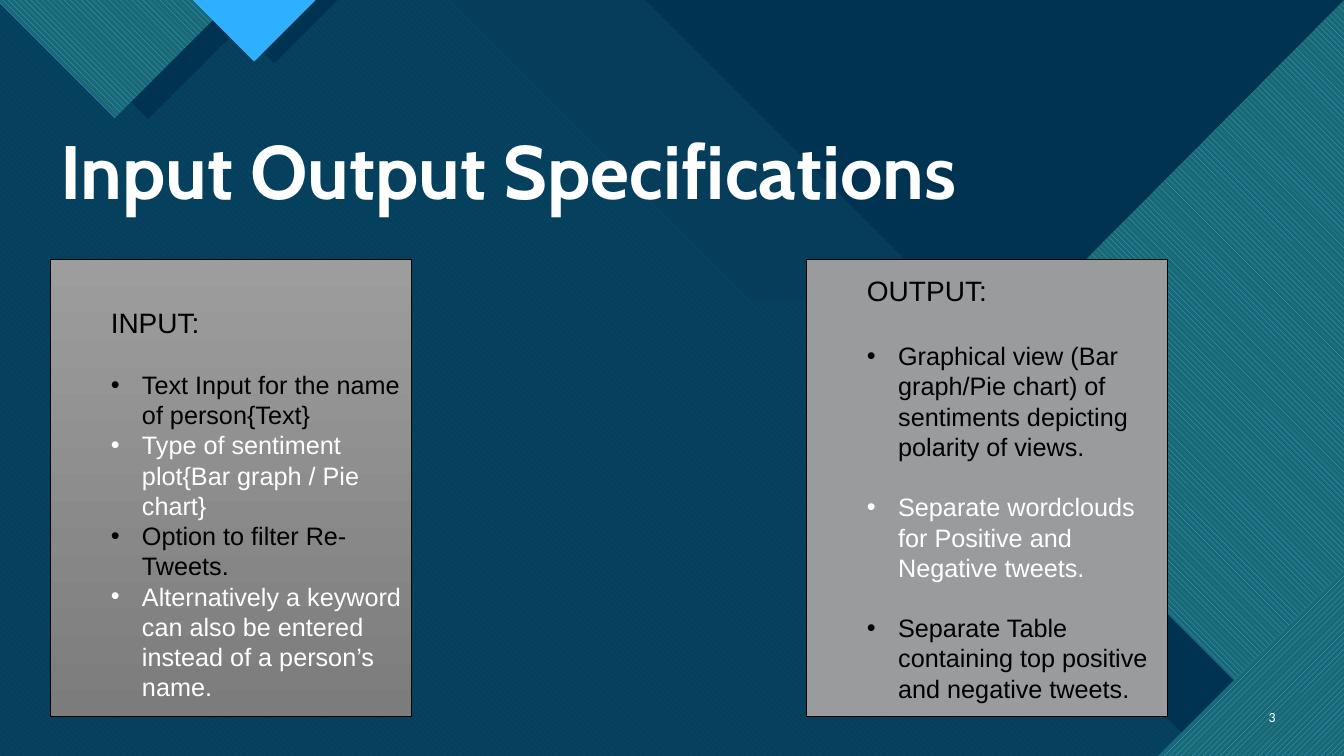
from math import cos, radians, sin

from lxml import etree
from pptx import Presentation
from pptx.dml.color import RGBColor
from pptx.enum.dml import MSO_PATTERN as Pattern
from pptx.enum.shapes import MSO_SHAPE as Shape
from pptx.enum.text import MSO_ANCHOR as Anchor, PP_ALIGN as Align
from pptx.oxml.ns import qn
from pptx.util import Emu, Inches, Pt

W, H = 13.33, 7.5
NAVY, DEEP, TEAL, SKY, PINE = "003352", "0C4360", "47C3D3", "2FAFFF", "1B6872"
BLACK, WHITE = "000000", "FFFFFF"
DOWN, UP = Pattern.WIDE_DOWNWARD_DIAGONAL, Pattern.WIDE_UPWARD_DIAGONAL
BARS = Pattern.DARK_HORIZONTAL

# Content
TITLE, PAGE = "Input Output Specifications", "3"
PANELS = [
    dict(left=0.5, heading="INPUT:", fill=("9D9D9D", "7C7C7C"),
         top_inset=0.46, heading_gap=21.6, item_gap=0, items=[
             "Text Input for the name of person{Text}",
             "Type of sentiment plot{Bar graph / Pie chart}",
             "Option to filter Re-Tweets.",
             "Alternatively a keyword can also be entered instead of a person’s name."]),
    dict(left=8, heading="OUTPUT:", fill=("9A9B9D",),
         top_inset=0.14, heading_gap=24, item_gap=21.6, items=[
             "Graphical view (Bar graph/Pie chart) of sentiments depicting polarity of views.",
             "Separate wordclouds for Positive and Negative tweets.",
             "Separate Table containing top positive and negative tweets."]),
]


# Backdrop outlines
def stepped(start, shelf, edge):
    """Full-slide sheet whose upper right corner is cut along a stepped diagonal."""
    return [(0, 0), (start, 0), (start + 2.97, 2.97), (shelf, 2.97), (W, edge), (W, H), (0, H)]


def hanging(center, depth):
    """Triangle that hangs from the top edge."""
    return [(center - depth, 0), (center, depth), (center + depth, 0)]


def corner(size):
    """Triangle in the lower right corner."""
    return [(W, H - size), (W, H), (W - size, H)]


# Outline, turn of the pattern, fill: (colour, opacity) or (pattern, fore, back)
BACKDROP = [
    (stepped(8.26, 12.35, 3.96), 0, (TEAL, 74)),
    (stepped(4.49, 8.72, H), 270, (DOWN, "0065A4", TEAL)),
    ([(6.4, 0), (W, 0), (W, 6.93)], 0, (NAVY, 100)),
    (stepped(6.95, 11.18, 5.13), 0, (NAVY, 90)),
    ([(W, 0.68), (W, H), (11.95, H), (9.23, 4.78)], 0, (NAVY, 100)),
    ([(W, 0), (W, H), (12.99, H), (9.42, 3.93)], 135, (DOWN, SKY, PINE)),
    (corner(1.36), 0, (NAVY, 100)),
    (corner(1.84), 135, (UP, SKY, PINE)),
    (hanging(1.47, 1.18), 0, (NAVY, 100)),
    (hanging(1.14, 1.17), 45, (DOWN, SKY, PINE)),
    (hanging(2.72, 0.63), 0, (NAVY, 100)),
    (hanging(2.52, 0.61), 45, (BARS, SKY, PINE)),
]

deck = Presentation()
deck.slide_width, deck.slide_height = Inches(W), Inches(H)
slide = deck.slides.add_slide(deck.slide_layouts[6])
shapes = slide.shapes


def paint(color, value):
    color.rgb = RGBColor.from_string(value)


def solid(fill, value):
    fill.solid()
    paint(fill.fore_color, value)


def turn(point, degrees):
    x, y = point
    c, s = cos(radians(degrees)), sin(radians(degrees))
    return x * c - y * s, x * s + y * c


def add_outline(points, angle, look):
    # Lay the points out unturned, so that rotation brings them back into place
    flat = [turn(p, -angle) for p in points]
    middle = [(min(axis) + max(axis)) / 2 for axis in zip(*flat)]
    shift = [t - m for t, m in zip(turn(middle, angle), middle)]
    path_points = [tuple(Inches(v + d) for v, d in zip(p, shift)) for p in flat]
    builder = shapes.build_freeform(*path_points[0], scale=1.0)
    builder.add_line_segments(path_points[1:], close=True)
    piece = builder.convert_to_shape()
    piece.rotation = angle
    piece.shadow.inherit = False
    piece.line.fill.background()
    if len(look) == 3:
        piece.fill.patterned()
        piece.fill.pattern = look[0]
        paint(piece.fill.fore_color, look[1])
        paint(piece.fill.back_color, look[2])
        return
    solid(piece.fill, look[0])
    if look[1] < 100:
        tint = piece.fill._xPr.find(".//" + qn("a:srgbClr"))
        etree.SubElement(tint, qn("a:alpha"), val=str(look[1] * 1000))


def set_frame(frame, **values):
    for name, value in dict(word_wrap=True, **values).items():
        setattr(frame, name, value)


def write(paragraph, text, size, font, color, bold=False, alignment=Align.LEFT, **spacing):
    run = paragraph.add_run()
    run.text = text
    for name, value in dict(size=Pt(size), name=font, bold=bold).items():
        setattr(run.font, name, value)
    paint(run.font.color, color)
    for name, value in dict(alignment=alignment, **spacing).items():
        setattr(paragraph, name, value)


def indent(paragraph, margin, hang=0, bullet=None):
    props = paragraph._p.get_or_add_pPr()
    props.set("marL", str(Inches(margin)))
    props.set("indent", str(Inches(-hang)))
    if bullet:
        etree.SubElement(props, qn("a:buFont"), typeface="Arial")
        etree.SubElement(props, qn("a:buChar"), char=bullet)


def add_panel(left, heading, fill, top_inset, heading_gap, item_gap, items):
    panel = shapes.add_shape(Shape.RECTANGLE, *map(Inches, (left, 2.57, 3.58, 4.54)))
    panel.shadow.inherit = False
    if len(fill) == 2:
        panel.fill.gradient()
        panel.fill.gradient_angle = 270
        for stop, value in zip(panel.fill.gradient_stops, fill):
            paint(stop.color, value)
    else:
        solid(panel.fill, fill[0])
    solid(panel.line.fill, BLACK)
    panel.line.width = Pt(0.5)
    frame = panel.text_frame
    set_frame(frame, vertical_anchor=Anchor.TOP, margin_top=Inches(top_inset),
              margin_right=Inches(0.08), margin_bottom=Emu(0))
    write(frame.paragraphs[0], heading, 20, "Arial", BLACK, line_spacing=Pt(24))
    indent(frame.paragraphs[0], 0.5)
    for i, item in enumerate(items):
        entry = frame.add_paragraph()
        write(entry, item, 18, "Arial", (BLACK, WHITE)[i % 2], line_spacing=Pt(21.6),
              space_before=Pt(item_gap if i else heading_gap))
        indent(entry, 0.81, 0.31, "•")


def add_label(box, anchor, text, size, font, **spacing):
    frame = shapes.add_textbox(*map(Inches, box)).text_frame
    set_frame(frame, vertical_anchor=anchor)
    write(frame.paragraphs[0], text, size, font, WHITE, **spacing)


# Backdrop
solid(slide.background.fill, DEEP)
for outline in BACKDROP:
    add_outline(*outline)

# Title, page number and panels
add_label((0.5, 1.25, 10.75, 0.94), Anchor.BOTTOM, TITLE, 54, "Cabin", bold=True, line_spacing=0.9)
add_label((12.31, 6.91, 0.44, 0.4), Anchor.MIDDLE, PAGE, 10, "Calibri", alignment=Align.RIGHT)
for panel_content in PANELS:
    add_panel(**panel_content)

deck.save("out.pptx")
